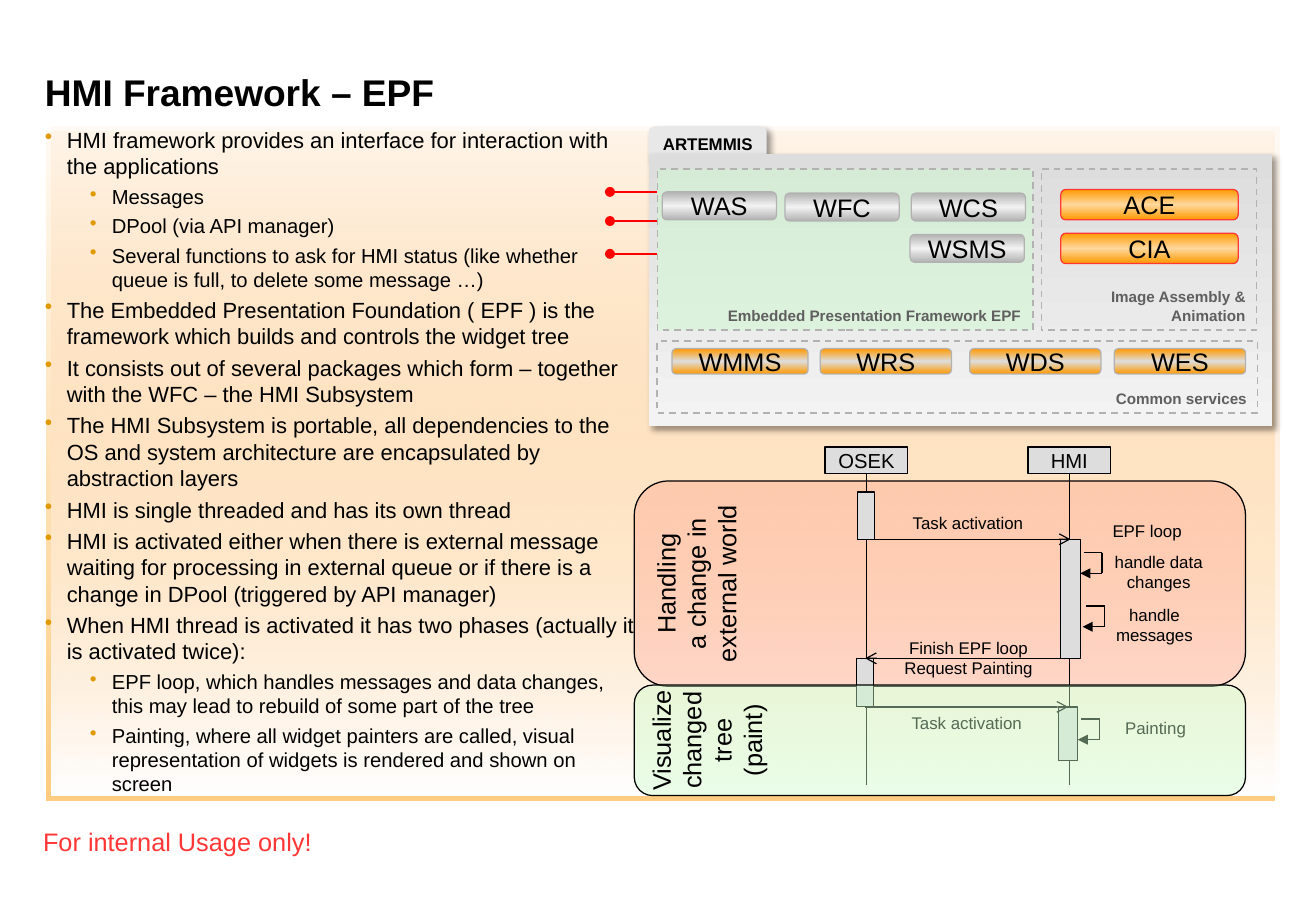
"""Builds the HMI Framework – EPF slide: bullet list, package diagram and activation sequence."""
from lxml import etree
from pptx import Presentation, util as u
from pptx.dml.color import RGBColor
from pptx.enum import dml, shapes, text
from pptx.oxml import parse_xml
from pptx.oxml.ns import nsdecls, qn

rgb = RGBColor.from_string
RECT, ROUND = shapes.MSO_SHAPE.RECTANGLE, shapes.MSO_SHAPE.ROUNDED_RECTANGLE
TOP, MIDDLE, BOTTOM = text.MSO_ANCHOR.TOP, text.MSO_ANCHOR.MIDDLE, text.MSO_ANCHOR.BOTTOM
LEFT, CENTER, RIGHT = text.PP_ALIGN.LEFT, text.PP_ALIGN.CENTER, text.PP_ALIGN.RIGHT

prs = Presentation()
prs.slide_width, prs.slide_height = u.Inches(10.83), u.Inches(7.5)
s = prs.slides.add_slide(prs.slide_layouts[6])


def box(at, kind=None, label="", fill=None, alpha=None, line=None, width=0.75, dash=None, shadow=None,
        size=10, color="000000", bold=False, align=CENTER, anchor=TOP, ins=(0.1, 0.05), wrap=False, vert=None):
    """Adds a shape, or a text box when kind is None; a list of colours makes a vertical gradient."""
    place = [u.Inches(v) for v in at]
    sp = s.shapes.add_shape(kind, *place) if kind else s.shapes.add_textbox(*place)
    if kind:
        sp.shadow.inherit = False
        spPr = sp.element.spPr
        if isinstance(fill, list):
            stops = ""
            for i, stop in enumerate(fill):
                c, _, a = stop.partition("@")
                stops += (f'<a:gs pos="{100000 * i // (len(fill) - 1)}"><a:srgbClr val="{c}">'
                          f'<a:alpha val="{a or 100}000"/></a:srgbClr></a:gs>')
            spPr.find(qn("a:prstGeom")).addnext(parse_xml(
                f'<a:gradFill {nsdecls("a")} rotWithShape="1"><a:gsLst>{stops}</a:gsLst>'
                '<a:lin ang="5400000" scaled="0"/></a:gradFill>'))
        elif fill:
            sp.fill.solid()
            sp.fill.fore_color.rgb = rgb(fill)
            if alpha:
                etree.SubElement(spPr.find(".//" + qn("a:srgbClr")), qn("a:alpha"), val=f"{alpha}000")
        else:
            sp.fill.background()
        if line:
            sp.line.color.rgb = rgb(line)
            sp.line.width = u.Pt(width)
            if dash:
                sp.line.dash_style = dash
        else:
            sp.line.fill.background()
        if shadow:
            c, a, blur, dist, angle = shadow
            spPr.find(qn("a:effectLst")).append(parse_xml(
                f'<a:outerShdw {nsdecls("a")} blurRad="{u.Pt(blur)}" dist="{u.Pt(dist)}" dir="{angle * 60000}" '
                f'algn="ctr" rotWithShape="0"><a:srgbClr val="{c}"><a:alpha val="{a}000"/></a:srgbClr></a:outerShdw>'))
    if label:
        tf = sp.text_frame
        tf.text = label
        frame = dict(word_wrap=wrap, auto_size=text.MSO_AUTO_SIZE.NONE, vertical_anchor=anchor,
                     margin_left=u.Inches(ins[0]), margin_right=u.Inches(ins[0]),
                     margin_top=u.Inches(ins[1]), margin_bottom=u.Inches(ins[1]))
        for key, value in frame.items():
            setattr(tf, key, value)
        if vert:
            sp.element.txBody.find(qn("a:bodyPr")).set("vert", vert)
        for p in tf.paragraphs:
            p.alignment = align
            for r in p.runs:
                for key, value in dict(name="Arial", size=u.Pt(size), bold=bold).items():
                    setattr(r.font, key, value)
                r.font.color.rgb = rgb(color)
    return sp


def link(x1, y1, x2, y2, color="000000", width=0.75, tail=None, begin=None, end=None):
    """Adds a straight connector; begin and end are (shape, side) joins."""
    cn = s.shapes.add_connector(shapes.MSO_CONNECTOR.STRAIGHT, *[u.Inches(v) for v in (x1, y1, x2, y2)])
    cn.line.color.rgb = rgb(color)
    cn.line.width = u.Pt(width)
    if tail:
        etree.SubElement(cn.element.spPr.find(qn("a:ln")), qn("a:tailEnd"), type=tail)
    etree.SubElement(cn.element.spPr, qn("a:effectLst"))
    if begin:
        cn.begin_connect(*begin)
    if end:
        cn.end_connect(*end)


box((0.42, 1.04, 10.11, 5.51), RECT, fill=["FFCC99@10", "FFFFFF"], shadow=("FF9900", 50, 0, 4.2, 135))
box((0.25, 6.75, 2.42, 0.35), label="For internal Usage only!", size=15, color="FF3737")
phase = dict(kind=ROUND, line="000000", size=15, vert="vert270", ins=(0.1, 0.1))
box((5.22, 3.96, 5.03, 1.69), label="Handling\va change in\vexternal world", fill="FF0000", alpha=11, **phase)

title = box((0.37, 0.25, 10.1, 0.69), label="HMI Framework – EPF", size=22, bold=True,
            align=LEFT, anchor=BOTTOM, ins=(0, 0), wrap=True)
title.text_frame.paragraphs[0].line_spacing = u.Pt(24.8)

bullets = [
    (0, "HMI framework provides an interface for interaction with the applications"),
    (1, "Messages"),
    (1, "DPool (via API manager)"),
    (1, "Several functions to ask for HMI status (like whether queue is full, to delete some message …)"),
    (0, "The Embedded Presentation Foundation ( EPF ) is the framework which builds and controls the widget tree"),
    (0, "It consists out of several packages which form – together with the WFC – the HMI Subsystem"),
    (0, "The HMI Subsystem is portable, all dependencies to the OS and system architecture are encapsulated by "
        "abstraction layers"),
    (0, "HMI is single threaded and has its own thread"),
    (0, "HMI is activated either when there is external message waiting for processing in external queue or if "
        "there is a change in DPool (triggered by API manager)"),
    (0, "When HMI thread is activated it has two phases (actually it is activated twice):"),
    (1, "EPF loop, which handles messages and data changes, this may lead to rebuild of some part of the tree"),
    (1, "Painting, where all widget painters are called, visual representation of widgets is rendered and shown "
        "on screen"),
]
body = box((0.37, 1.04, 4.85, 5.51), label="\n".join(t for _, t in bullets), size=13,
           align=LEFT, ins=(0, 0), wrap=True)
formats = body.element.txBody.iter(qn("a:pPr"))
for p, pPr, (level, _) in zip(body.text_frame.paragraphs, formats, bullets):
    p.level, p.line_spacing, p.space_after = level, 1.0, u.Pt(3)
    p.runs[0].font.size = u.Pt(13 - level)
    pPr.set("marL", str(u.Inches((0.18, 0.55)[level])))
    pPr.set("indent", str(u.Inches(-0.18)))
    etree.SubElement(etree.SubElement(pPr, qn("a:buClr")), qn("a:srgbClr"), val="E19900")
    etree.SubElement(pPr, qn("a:buChar"), char="•")

grey = dict(kind=RECT, fill="DDDDDD", line="000000")
for name, x in (("OSEK", 6.79), ("HMI", 8.46)):
    head = box((x, 3.68, 0.68, 0.22), label=name, size=12, anchor=MIDDLE, **grey)
    link(x + 0.34, 3.9, x + 0.34, 6.46, begin=(head, 2))
osek_start, hmi_loop, osek_next, hmi_paint = [box(at, **grey) for at in (
    (7.06, 4.05, 0.14, 0.39), (8.73, 4.44, 0.16, 0.98), (7.05, 5.42, 0.14, 0.4), (8.71, 5.82, 0.16, 0.44))]
for y, sender, receiver in ((4.44, osek_start, hmi_loop), (5.42, hmi_loop, osek_next), (5.82, osek_next, hmi_paint)):
    link(7.12, y, 8.8, y, tail="arrow", begin=(sender, 2), end=(receiver, 0))
for x, y in ((8.92, 4.55), (8.94, 4.99), (8.9, 5.92)):
    link(x, y, x + 0.15, y)
    link(x + 0.15, y, x + 0.15, y + 0.17)
    link(x + 0.15, y + 0.17, x - 0.03, y + 0.17, tail="triangle")
for label, *at in (("Task activation", 7.4, 4.17, 1.13, 0.27), ("EPF loop", 9.05, 4.24, 0.78, 0.27),
                   ("handle data\nchanges", 9.07, 4.49, 0.93, 0.44), ("handle\nmessages", 9.08, 4.93, 0.84, 0.44),
                   ("Finish EPF loop\nRequest Painting", 7.34, 5.2, 1.26, 0.44),
                   ("Task activation", 7.39, 5.82, 1.13, 0.27), ("Painting", 9.16, 5.86, 0.7, 0.27)):
    box(at, label=label)

soft = ("000000", 40, 4, 3, 45)
box((5.34, 1.04, 0.97, 0.29), ROUND, "ARTEMMIS", fill="E8E8E8", shadow=soft, bold=True, anchor=MIDDLE, ins=(0.09, 0.05))
box((5.34, 1.27, 5.13, 2.24), RECT, fill=["DDDDDD", "F3F3F3"], shadow=soft)
for at, fill in (((5.41, 2.81, 4.94, 0.59), None), ((5.41, 1.39, 3.09, 1.33), "CCFFCC"), ((8.57, 1.39, 1.77, 1.33), None)):
    box(at, RECT, fill=fill, alpha=41, line="B2B2B2", width=1, dash=dml.MSO_LINE.DASH)
for label, *at in (("Common services", 8.98, 3.16, 1.37, 0.24), ("Image Assembly & Animation", 8.9, 2.32, 1.44, 0.4),
                   ("Embedded Presentation Framework EPF", 5.53, 2.47, 2.96, 0.24)):
    box(at, label=label, size=9, color="5F5F5F", bold=True, align=RIGHT, ins=(0.09, 0.05), wrap=True)

service = (["FF9900", "DDDDDD", "FF9900"], "B2B2B2")
image = (["FF9900", "FFD89D", "FF9900"], "FF3737")
core = (["B2B2B2", "F2F2F2", "B2B2B2"], "B2B2B2")
for label, (fill, line), *at in (
        ("WMMS", service, 5.53, 2.87, 1.12, 0.21), ("WRS", service, 6.75, 2.87, 1.08, 0.21),
        ("WDS", service, 7.98, 2.87, 1.08, 0.21), ("WES", service, 9.17, 2.87, 1.08, 0.21),
        ("ACE", image, 8.73, 1.56, 1.46, 0.25), ("CIA", image, 8.73, 1.92, 1.46, 0.25),
        ("WAS", core, 5.45, 1.58, 0.94, 0.23), ("WFC", core, 6.46, 1.59, 0.94, 0.23),
        ("WCS", core, 7.5, 1.59, 0.94, 0.23), ("WSMS", core, 7.49, 1.93, 0.94, 0.23)):
    box(at, ROUND, label, fill=fill, line=line, size=15, anchor=MIDDLE, ins=(0.09, 0.05))
for y in (1.58, 1.82, 2.09):
    link(5.41, y, 5.02, y, color="FF0000", width=1.5, tail="oval")

box((5.22, 5.64, 5.03, 0.91), label="Visualize\vchanged\vtree\v(paint)", fill="CCFFCC", alpha=42, **phase)

prs.save("out.pptx")
